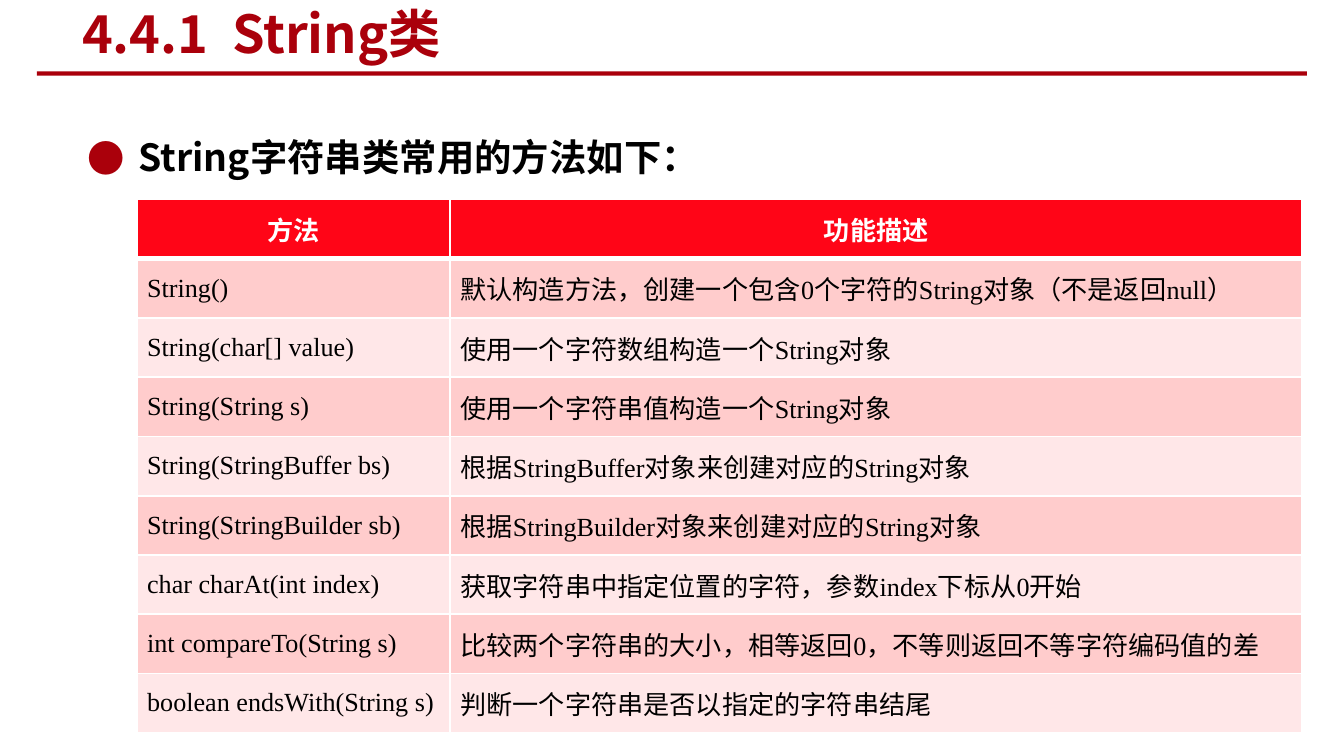
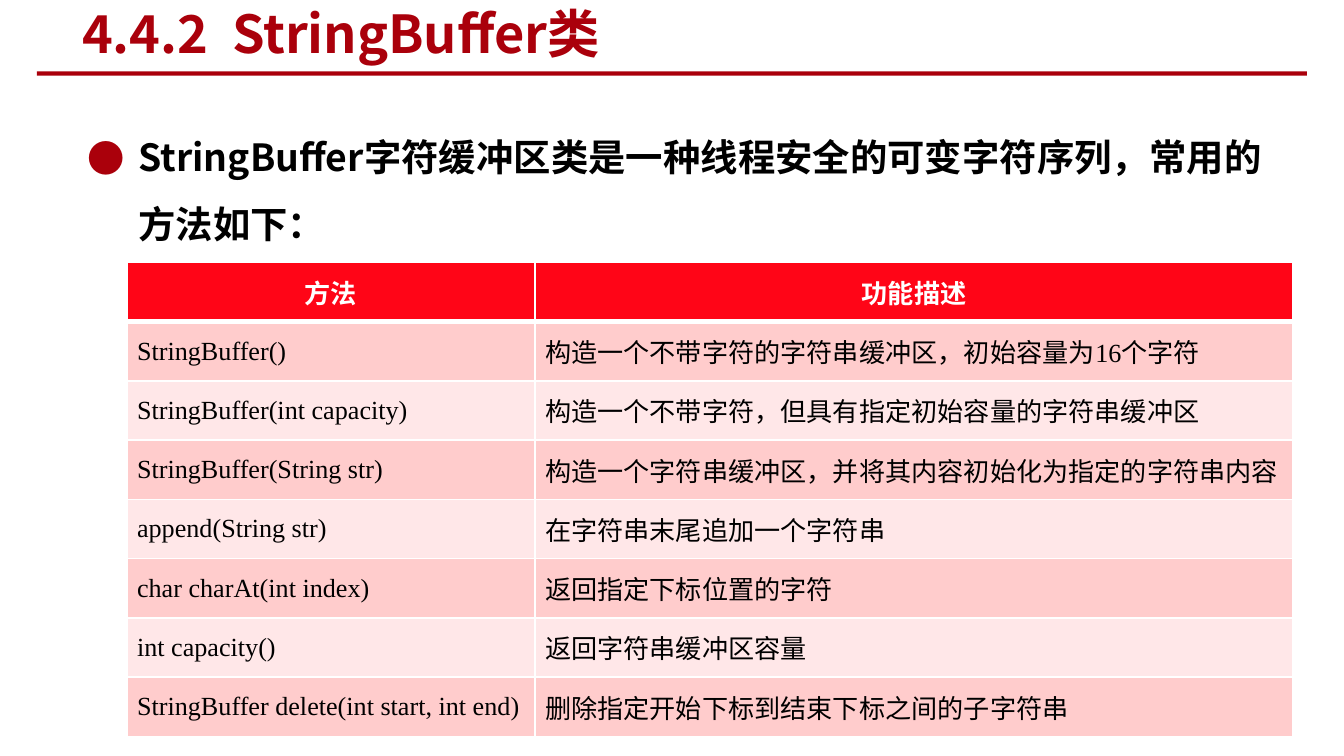
"""Build two slides that list the methods of String and StringBuffer."""
import lxml.etree
import pptx
import pptx.dml.color
import pptx.enum.shapes
import pptx.enum.text
import pptx.oxml.ns
import pptx.util

Cm = pptx.util.Cm
Pt = pptx.util.Pt
ALIGN = pptx.enum.text.PP_ALIGN
MIDDLE = pptx.enum.text.MSO_ANCHOR.MIDDLE
qn = pptx.oxml.ns.qn

CJK_FONT = "Noto Sans CJK SC"
CRIMSON = "AA000B"
HEADER_FILL = "FF0517"
BAND_FILLS = ("FFCCCC", "FFE7E8")
WHITE = "FFFFFF"
BLACK = "000000"
ROW_HEIGHT = Cm(1.12)
HEADINGS = ("方法", "功能描述")

STRING_METHODS = [
    ("String()", "默认构造方法，创建一个包含0个字符的String对象（不是返回null）"),
    ("String(char[] value)", "使用一个字符数组构造一个String对象"),
    ("String(String s)", "使用一个字符串值构造一个String对象"),
    ("String(StringBuffer bs)", "根据StringBuffer对象来创建对应的String对象"),
    ("String(StringBuilder sb)", "根据StringBuilder对象来创建对应的String对象"),
    ("char charAt(int index)", "获取字符串中指定位置的字符，参数index下标从0开始"),
    ("int compareTo(String s)", "比较两个字符串的大小，相等返回0，不等则返回不等字符编码值的差"),
    ("boolean endsWith(String s)", "判断一个字符串是否以指定的字符串结尾"),
]
BUFFER_METHODS = [
    ("StringBuffer()", "构造一个不带字符的字符串缓冲区，初始容量为16个字符"),
    ("StringBuffer(int capacity)", "构造一个不带字符，但具有指定初始容量的字符串缓冲区"),
    ("StringBuffer(String str)", "构造一个字符串缓冲区，并将其内容初始化为指定的字符串内容"),
    ("append(String str)", "在字符串末尾追加一个字符串"),
    ("char charAt(int index)", "返回指定下标位置的字符"),
    ("int capacity()", "返回字符串缓冲区容量"),
    ("StringBuffer delete(int start, int end)", "删除指定开始下标到结束下标之间的子字符串"),
]


def color(value):
    return pptx.dml.color.RGBColor.from_string(value)


def paint(fill, value):
    fill.solid()
    fill.fore_color.rgb = color(value)


def add_child(parent, tag, **attributes):
    return lxml.etree.SubElement(parent, qn(tag), **attributes)


def add_run(paragraph, text, size, ink, font=CJK_FONT, bold=True):
    run = paragraph.add_run()
    run.text = text
    run.font.size = Pt(size)
    run.font.bold = bold
    run.font.color.rgb = color(ink)
    run.font.name = font
    add_child(run.font._element, "a:ea", typeface=CJK_FONT)


def place(part, left, top, width, height):
    part.left, part.top = Cm(left), Cm(top)
    part.width, part.height = Cm(width), Cm(height)


def add_rule(slide):
    rule = slide.shapes.add_shape(
        pptx.enum.shapes.MSO_SHAPE.RECTANGLE,
        Cm(0.7), Cm(1.35), Cm(24), Cm(0.08))
    rule.shadow.inherit = False
    paint(rule.fill, CRIMSON)
    rule.line.fill.background()


def set_title(slide, text):
    title = slide.shapes.title
    place(title, 1.3, 0.05, 13.46, 1.14)
    frame = title.text_frame
    frame.auto_size = pptx.enum.text.MSO_AUTO_SIZE.NONE
    frame.vertical_anchor = MIDDLE
    frame.paragraphs[0].alignment = ALIGN.LEFT
    add_run(frame.paragraphs[0], text, 28, CRIMSON)


def set_intro(slide, text):
    body = slide.placeholders[1]
    place(body, 1.4, 1.98, 22.8, 11.9)
    body.text_frame.auto_size = pptx.enum.text.MSO_AUTO_SIZE.NONE
    paragraph = body.text_frame.paragraphs[0]
    paragraph.line_spacing = 1.5
    properties = paragraph._p.get_or_add_pPr()
    properties.set("marL", str(Cm(0.96)))
    properties.set("indent", str(-Cm(0.96)))
    bullet_color = add_child(properties, "a:buClr")
    add_child(bullet_color, "a:srgbClr", val=CRIMSON)
    add_child(properties, "a:buFont", typeface=CJK_FONT)
    add_child(properties, "a:buChar", char="●")
    add_run(paragraph, text, 20, BLACK)


def set_borders(cell, top, bottom):
    properties = cell._tc.get_or_add_tcPr()
    for side, width in (("L", 1), ("R", 1), ("T", top), ("B", bottom)):
        border = add_child(properties, f"a:ln{side}", w=str(Pt(width)))
        border_fill = add_child(border, "a:solidFill")
        add_child(border_fill, "a:srgbClr", val=WHITE)


def fill_cell(cell, text, row):
    cell.margin_left = cell.margin_right = Cm(0.19)
    cell.margin_top = cell.margin_bottom = 0
    cell.vertical_anchor = MIDDLE
    set_borders(cell, top=3 if row == 1 else 1, bottom=3 if row == 0 else 1)
    paragraph = cell.text_frame.paragraphs[0]
    if row == 0:
        paint(cell.fill, HEADER_FILL)
        paragraph.alignment = ALIGN.CENTER
        add_run(paragraph, text, 14, WHITE, "Calibri")
    else:
        paint(cell.fill, BAND_FILLS[(row - 1) % 2])
        add_run(paragraph, text, 14, BLACK, "Times New Roman", False)


def add_method_table(slide, methods, left, top, widths):
    entries = [HEADINGS, *methods]
    table = slide.shapes.add_table(
        len(entries), len(HEADINGS), Cm(left), Cm(top),
        Cm(sum(widths)), ROW_HEIGHT * len(entries)).table
    for column, width in zip(table.columns, widths):
        column.width = Cm(width)
    for row, entry in enumerate(entries):
        table.rows[row].height = ROW_HEIGHT
        for column, text in enumerate(entry):
            fill_cell(table.cell(row, column), text, row)


def add_class_slide(deck, title, intro, methods, left, top, widths):
    slide = deck.slides.add_slide(deck.slide_layouts[1])
    paint(slide.background.fill, WHITE)
    add_rule(slide)
    set_title(slide, title)
    set_intro(slide, intro)
    add_method_table(slide, methods, left, top, widths)


def main():
    deck = pptx.Presentation()
    deck.slide_width, deck.slide_height = Cm(25.4), Cm(14.29)
    add_class_slide(
        deck, "4.4.1  String类", "String字符串类常用的方法如下：",
        STRING_METHODS, 2.59, 3.77, (5.92, 16.1))
    add_class_slide(
        deck, "4.4.2  StringBuffer类",
        "StringBuffer字符缓冲区类是一种线程安全的可变字符序列，常用的方法如下：",
        BUFFER_METHODS, 2.4, 4.96, (7.71, 14.33))
    deck.save("out.pptx")


if __name__ == "__main__":
    main()
